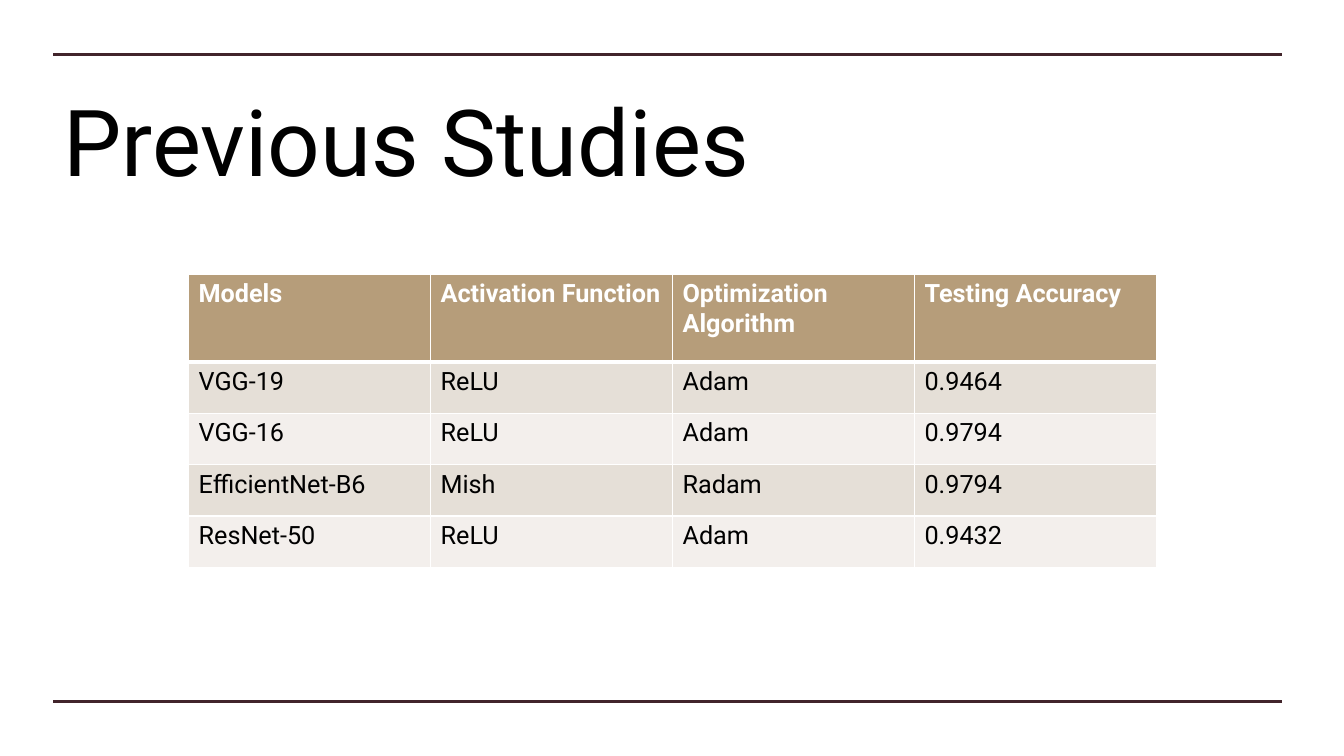
from lxml.etree import SubElement
from pptx import Presentation
from pptx.dml.color import RGBColor
from pptx.enum.shapes import MSO_CONNECTOR
from pptx.enum.text import MSO_ANCHOR
from pptx.oxml.ns import qn
from pptx.util import Inches, Pt

COLORS = {
    "rule": "41242B",
    "text": "000000",
    "white": "FFFFFF",
    "header": "B69D7A",
    "odd_row": "E5DFD7",
    "even_row": "F3EFEC",
}
FONT = "Roboto"
STUDIES = [
    ["Models", "Activation Function", "Optimization Algorithm", "Testing Accuracy"],
    ["VGG-19", "ReLU", "Adam", "0.9464"],
    ["VGG-16", "ReLU", "Adam", "0.9794"],
    ["EfficientNet-B6", "Mish", "Radam", "0.9794"],
    ["ResNet-50", "ReLU", "Adam", "0.9432"],
]
COLUMN_WIDTH = 2.4
HEADER_HEIGHT = 0.87
ROW_HEIGHT = 0.51


def color(name):
    return RGBColor.from_string(COLORS[name])


def write_text(text_frame, text, size=18, color_name="text", bold=False):
    paragraph = text_frame.paragraphs[0]
    run = paragraph.add_run()
    run.text = text
    run.font.name = FONT
    run.font.size = Pt(size)
    run.font.bold = bold
    run.font.color.rgb = color(color_name)


def add_rule(slide, top):
    rule = slide.shapes.add_connector(
        MSO_CONNECTOR.STRAIGHT, Inches(0.53), Inches(top), Inches(12.72), Inches(top)
    )
    rule.line.color.rgb = color("rule")
    rule.line.width = Pt(2.25)
    SubElement(rule._element.spPr, qn("a:effectLst"))


def add_title(slide, text):
    title = slide.shapes.add_textbox(Inches(0.53), Inches(0.73), Inches(11.63), Inches(1.31))
    title.text_frame.word_wrap = True
    title.text_frame.vertical_anchor = MSO_ANCHOR.MIDDLE
    write_text(title.text_frame, text, size=66)


def set_borders(cell, top=1, bottom=1):
    properties = cell._tc.get_or_add_tcPr()
    for side, width in {"L": 1, "R": 1, "T": top, "B": bottom}.items():
        line = SubElement(properties, qn(f"a:ln{side}"), w=str(Pt(width)))
        fill = SubElement(line, qn("a:solidFill"))
        SubElement(fill, qn("a:srgbClr"), val=COLORS["white"])


def fill_cell(cell, text, row_index):
    is_header = row_index == 0
    set_borders(cell, top=3 if row_index == 1 else 1, bottom=3 if is_header else 1)
    band = "odd_row" if row_index % 2 else "even_row"
    cell.fill.solid()
    cell.fill.fore_color.rgb = color("header" if is_header else band)
    write_text(cell.text_frame, text, color_name="white" if is_header else "text", bold=is_header)


def add_studies_table(slide):
    row_count, column_count = len(STUDIES), len(STUDIES[0])
    height = HEADER_HEIGHT + ROW_HEIGHT * (row_count - 1)
    table = slide.shapes.add_table(
        row_count, column_count, Inches(1.87), Inches(2.72),
        Inches(COLUMN_WIDTH * column_count), Inches(height),
    ).table
    for row_index, values in enumerate(STUDIES):
        table.rows[row_index].height = Inches(ROW_HEIGHT if row_index else HEADER_HEIGHT)
        for column_index, value in enumerate(values):
            fill_cell(table.cell(row_index, column_index), value, row_index)


def main():
    presentation = Presentation()
    presentation.slide_width = Inches(13.33)
    presentation.slide_height = Inches(7.5)
    slide = presentation.slides.add_slide(presentation.slide_layouts[6])
    for top in (0.54, 6.96):
        add_rule(slide, top)
    add_title(slide, "Previous Studies")
    add_studies_table(slide)
    presentation.save("out.pptx")


if __name__ == "__main__":
    main()
